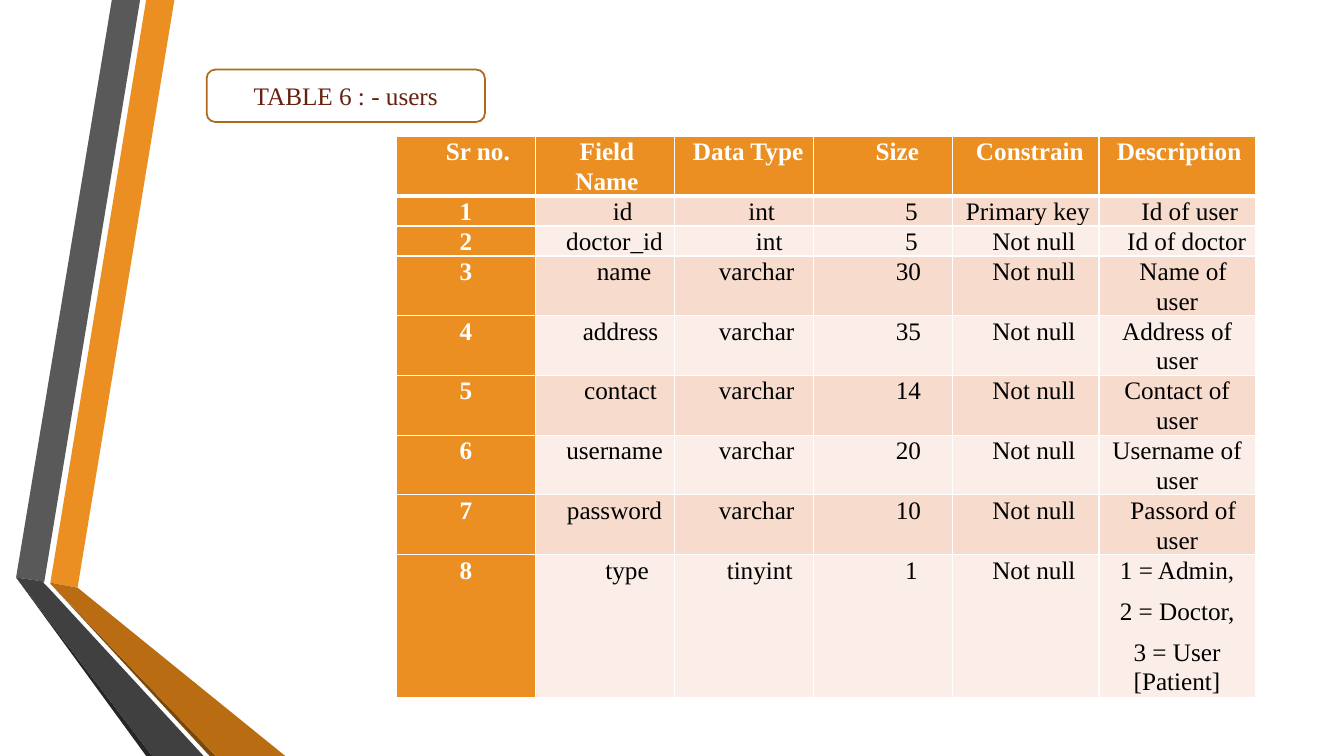
from lxml import etree
from pptx import Presentation
from pptx import util as u
from pptx.dml.color import RGBColor
from pptx.enum import shapes, text
from pptx.oxml.ns import qn

COLORS = {
    "white": "FFFFFF", "black": "000000", "orange": "EB8F22", "gray": "595959",
    "near_black": "262626", "brown": "7B480B", "dark_orange": "B96C11",
    "dark_gray": "404040", "outline": "AE6A19", "title": "662111",
    "band_dark": "F7DBCD", "band_light": "FBEEE8",
}


class SlideBuilder:
    font = {"name": "Times New Roman", "size": u.Pt(18)}
    para = {"alignment": text.PP_ALIGN.CENTER}
    cell_para = {**para, "line_spacing": 1.07, "space_after": u.Pt(8)}
    cell_format = {"margin_left": u.Inches(0.07), "margin_right": u.Inches(0.07),
                   "margin_top": 0, "margin_bottom": 0,
                   "vertical_anchor": text.MSO_ANCHOR.TOP}

    def __init__(self, slide):
        self.s = slide

    def apply(self, obj, values):
        for key, value in values.items():
            setattr(obj, key, value)

    def color(self, name):
        return RGBColor.from_string(COLORS[name])

    def paint(self, obj, name):
        obj.fill.solid()
        obj.fill.fore_color.rgb = self.color(name)

    def add_words(self, p, words, color, para, bold=False):
        self.apply(p, para)
        r = p.add_run()
        r.text = words
        self.apply(r.font, {**self.font, "bold": bold})
        r.font.color.rgb = self.color(color)

    def polygon(self, points, color):
        points = [(u.Inches(x), u.Inches(y)) for x, y in points]
        fb = self.s.shapes.build_freeform(*points[0], scale=1.0)
        fb.add_line_segments(points[1:], close=True)
        sp = fb.convert_to_shape()
        sp.shadow.inherit = False
        self.paint(sp, color)
        sp.line.fill.background()

    def label(self, words, x, y, w, h):
        sp = self.s.shapes.add_shape(
            shapes.MSO_SHAPE.ROUNDED_RECTANGLE, *map(u.Inches, (x, y, w, h)))
        sp.shadow.inherit = False
        self.paint(sp, "white")
        sp.line.color.rgb = self.color("outline")
        sp.line.width = u.Pt(1.25)
        tf = sp.text_frame
        tf.vertical_anchor = text.MSO_ANCHOR.MIDDLE
        self.add_words(tf.paragraphs[0], words, "title", self.para)

    def borders(self, cell, widths):
        tc_pr = cell._tc.get_or_add_tcPr()
        for side, width in widths.items():
            ln = etree.SubElement(tc_pr, qn(f"a:ln{side}"), w=str(u.Pt(width)))
            fill = etree.SubElement(ln, qn("a:solidFill"))
            etree.SubElement(fill, qn("a:srgbClr"), val=COLORS["white"])

    def cell(self, cell, words, row, col, indent):
        heading = row == 0 or col == 0
        self.apply(cell, self.cell_format)
        self.borders(cell, {"L": 1, "R": 1, "T": 3 if row == 1 else 1,
                            "B": 3 if row == 0 else 1})
        band = "band_dark" if row % 2 else "band_light"
        self.paint(cell, "orange" if heading else band)
        tf = cell.text_frame
        # Wrapped descriptions shift only their first line
        side = "indent" if row and col == 5 else "marL"
        for i, line in enumerate(words.split("\n")):
            p = tf.add_paragraph() if i else tf.paragraphs[0]
            p._p.get_or_add_pPr().set(side, str(u.Inches(indent)))
            self.add_words(p, line, "white" if heading else "black",
                           self.cell_para, heading)

    def table(self, rows, indents, x, y, widths, heights):
        frame = self.s.shapes.add_table(
            len(rows), len(widths),
            *map(u.Inches, (x, y, sum(widths), sum(heights))))
        table = frame.table
        for column, width in zip(table.columns, widths):
            column.width = u.Inches(width)
        for row, height in zip(table.rows, heights):
            row.height = u.Inches(height)
        for i, (row, row_indents) in enumerate(zip(rows, indents)):
            for j, (words, indent) in enumerate(zip(row, row_indents)):
                self.cell(table.cell(i, j), words, i, j, indent)


RIBBONS = [
    ("orange", [(0.5, 5.78), (0.77, 5.83), (1.73, 0), (1.45, 0)]),
    ("gray", [(1.39, 0), (1.11, 0), (0.16, 5.73), (0.44, 5.77)]),
    ("near_black", [(0.16, 5.73), (1.45, 7.5), (1.51, 7.5)]),
    ("brown", [(0.5, 5.79), (2.08, 7.5), (2.14, 7.5)]),
    ("dark_orange", [(0.5, 5.79), (2.14, 7.5), (2.83, 7.5), (0.77, 5.83), (0.5, 5.78)]),
    ("dark_gray", [(2.02, 7.5), (0.48, 5.83), (0.43, 5.78), (0.44, 5.77),
                   (0.16, 5.73), (1.51, 7.5)]),
]

FIELDS = [
    ("Sr no.", "Field Name", "Data Type", "Size", "Constrain", "Description"),
    ("1", "id", "int", "5", "Primary key", "Id of user"),
    ("2", "doctor_id", "int", "5", "Not null", "Id of doctor"),
    ("3", "name", "varchar", "30", "Not null", "Name of user"),
    ("4", "address", "varchar", "35", "Not null", "Address of user"),
    ("5", "contact", "varchar", "14", "Not null", "Contact of user"),
    ("6", "username", "varchar", "20", "Not null", "Username of user"),
    ("7", "password", "varchar", "10", "Not null", "Passord of user"),
    ("8", "type", "tinyint", "1", "Not null", "1 = Admin,\n2 = Doctor,\n3 = User [Patient]"),
]

INDENTS = [
    (0.24, 0.04, 0.08, 0.28, 0.08, 0.04),
    (0, 0.35, 0.35, 0.56, 0.04, 0.25),
    (0, 0.19, 0.5, 0.56, 0.16, 0.19),
    (0, 0.38, 0.25, 0.5, 0.16, 0.12),
    (0, 0.31, 0.25, 0.5, 0.16, 0),
    (0, 0.31, 0.25, 0.5, 0.16, 0),
    (0, 0.19, 0.25, 0.5, 0.16, 0),
    (0, 0.19, 0.25, 0.5, 0.16, 0.12),
    (0, 0.44, 0.31, 0.56, 0.16, 0),
]


def main():
    prs = Presentation()
    prs.slide_width, prs.slide_height = u.Inches(13.33), u.Inches(7.5)
    builder = SlideBuilder(prs.slides.add_slide(prs.slide_layouts[6]))

    # Folded ribbons on the left
    for color, points in RIBBONS:
        builder.polygon(points, color)

    # Title
    builder.label("TABLE 6 : - users", 2.05, 0.69, 2.76, 0.52)

    # Field table
    builder.table(FIELDS, INDENTS, 3.93, 1.35, [1.38] * 4 + [1.45, 1.55],
                  [0.59, 0.3, 0.29] + [0.59] * 5 + [1.42])

    prs.save("out.pptx")


if __name__ == "__main__":
    main()
